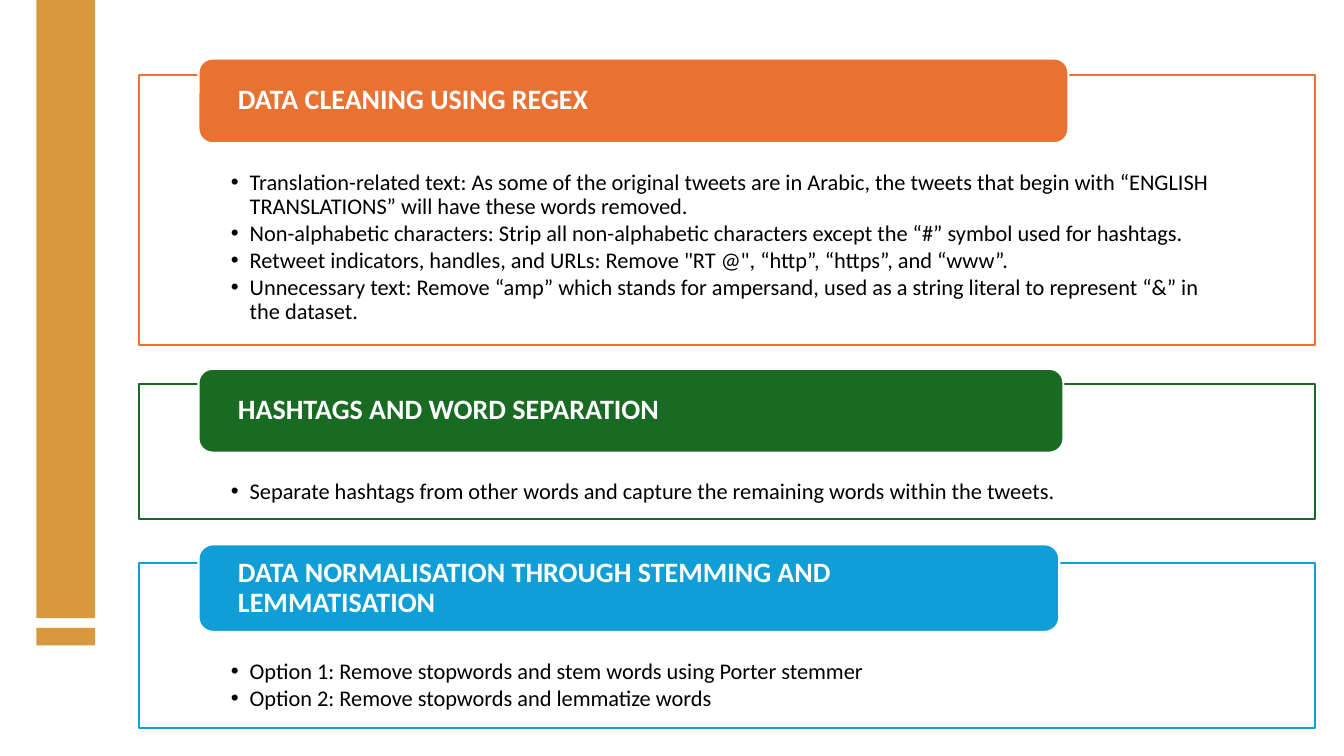
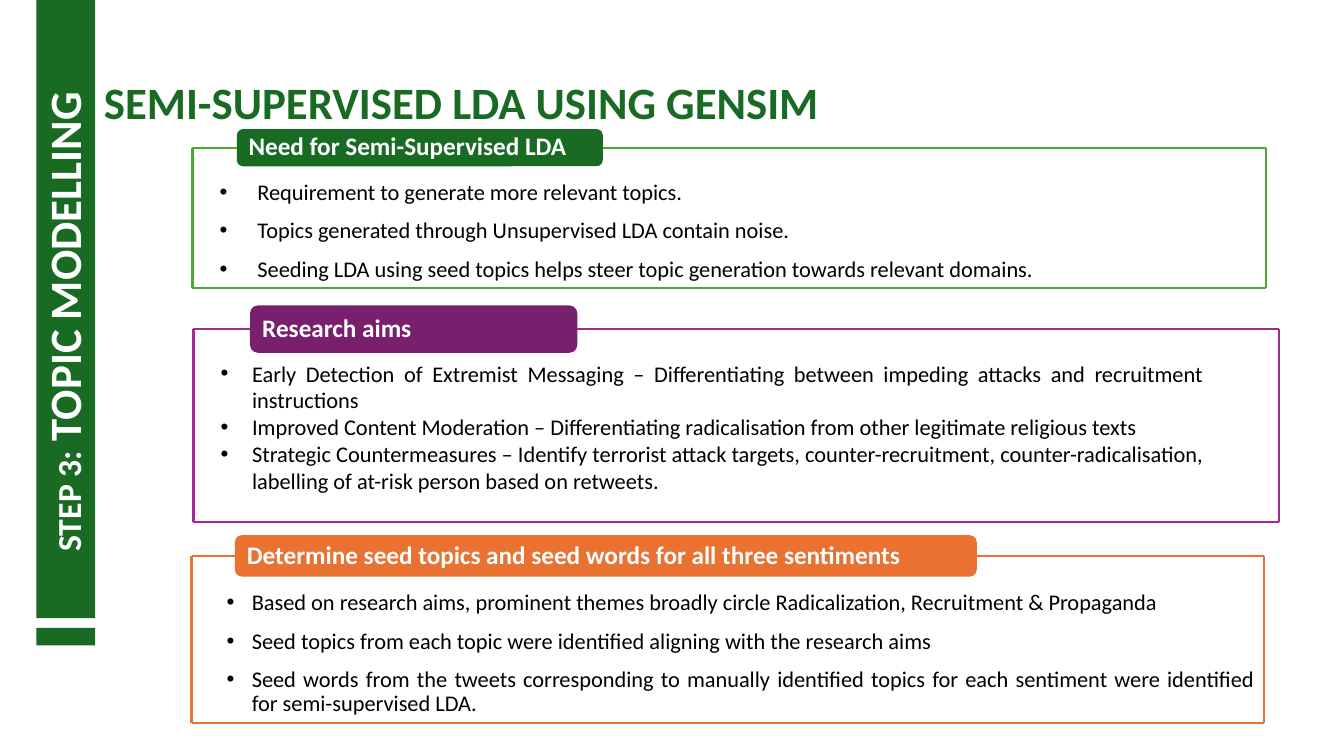
from lxml.etree import SubElement
from pptx import Presentation
from pptx.dml.color import RGBColor
from pptx.enum.shapes import MSO_CONNECTOR, MSO_SHAPE
from pptx.enum.text import MSO_ANCHOR, MSO_AUTO_SIZE, PP_ALIGN
from pptx.oxml.ns import qn
from pptx.util import Pt

WHITE = RGBColor(0xFF, 0xFF, 0xFF)
BLACK = RGBColor(0x00, 0x00, 0x00)
ORANGE = RGBColor(0xE9, 0x71, 0x32)
DARK_GREEN = RGBColor(0x19, 0x6B, 0x24)
GREEN = RGBColor(0x4E, 0xA7, 0x2E)
BLUE = RGBColor(0x0F, 0x9E, 0xD5)
DARK_PURPLE = RGBColor(0x78, 0x20, 0x6E)
PURPLE = RGBColor(0xA0, 0x2B, 0x93)
OCHRE = RGBColor(0xD9, 0x98, 0x3E)

LEFT_SIDE, RIGHT_SIDE = 1, 3
BOLD = {"name": "Calibri", "bold": True}
FONTS = {
    "title": BOLD | {"size": Pt(32)},
    "step": BOLD | {"size": Pt(24)},
    "card heading": BOLD | {"size": Pt(20)},
    "heading": BOLD | {"size": Pt(18)},
    "body": {"name": "Calibri", "bold": False, "size": Pt(16)},
}
TIGHT = {"line_spacing": 0.9, "alignment": PP_ALIGN.LEFT}
SPACED = {"line_spacing": 0.9, "space_before": Pt(10), "alignment": PP_ALIGN.JUSTIFY}
SOLID = {"line_spacing": 1.0, "alignment": PP_ALIGN.JUSTIFY}
CARD_LIST = TIGHT | {"space_after": Pt(2)}


def apply(target, values):
    """Set each attribute in values on target."""
    for key, value in values.items():
        setattr(target, key, value)


def insets(left, top, right, bottom):
    """Return text frame margins given in points."""
    sides = ("left", "top", "right", "bottom")
    return {f"margin_{side}": Pt(gap) for side, gap in zip(sides, (left, top, right, bottom))}


class Deck:
    """Hold the shared style and the slide being built."""

    def __init__(self):
        """Start a widescreen presentation."""
        self.presentation = Presentation()
        apply(self.presentation, {"slide_width": Pt(960), "slide_height": Pt(540)})
        self.slide = None

    def start(self, band_color, title=None):
        """Add a slide with its side band and optional title."""
        layout = self.presentation.slide_layouts[6 if title is None else 5]
        self.slide = self.presentation.slides.add_slide(layout)
        if title is not None:
            heading = self.slide.shapes.title
            apply(heading, {"left": Pt(67), "top": Pt(41), "width": Pt(820), "height": Pt(54.7)})
            self.fill_text(heading.text_frame, [title], "title", band_color, TIGHT,
                           {"vertical_anchor": MSO_ANCHOR.BOTTOM})
        for top, height in ((0, 441.5), (448.5, 12.5)):
            self.box((26, top, 42, height), band_color)

    def fill_text(self, frame, texts, font, color, paragraph_format, frame_format, indent=0):
        """Fill a text frame, with bullets when an indent is given."""
        apply(frame, {"word_wrap": True, "auto_size": MSO_AUTO_SIZE.NONE} | frame_format)
        for number, text in enumerate(texts):
            paragraph = frame.add_paragraph() if number else frame.paragraphs[0]
            apply(paragraph, paragraph_format)
            if not number:
                paragraph.space_before = Pt(0)
            if indent:
                properties = paragraph._p.get_or_add_pPr()
                properties.set("marL", str(Pt(indent)))
                properties.set("indent", str(-Pt(indent)))
                SubElement(properties, qn("a:buFont"), typeface="Arial")
                SubElement(properties, qn("a:buChar"), char="•")
            self.add_words(paragraph, text, font, color)

    def add_words(self, paragraph, text, font, color):
        """Add one formatted run."""
        words = paragraph.add_run()
        words.text = text
        apply(words.font, FONTS[font])
        words.font.color.rgb = color

    def box(self, place, fill, outline=None, kind=MSO_SHAPE.RECTANGLE):
        """Add a filled shape with an optional outline."""
        shape = self.slide.shapes.add_shape(kind, *map(Pt, place))
        shape.shadow.inherit = False
        shape.fill.solid()
        shape.fill.fore_color.rgb = fill
        if outline is None:
            shape.line.fill.background()
        else:
            shape.line.color.rgb = outline
            shape.line.width = Pt(1.5)
        return shape

    def heading(self, place, text, fill, font="heading", outline=None, margin=7.2):
        """Add a rounded heading."""
        shape = self.box(place, fill, outline, MSO_SHAPE.ROUNDED_RECTANGLE)
        self.fill_text(shape.text_frame, [text], font, WHITE, TIGHT,
                       {"vertical_anchor": MSO_ANCHOR.MIDDLE} | insets(margin, 0, margin, 0))
        return shape

    def card(self, top, height, tag_top, tag_width, tag_height, color, title, items):
        """Add an outlined list with a heading over its top edge."""
        panel = self.box((99.4, top, 840.2, height), WHITE, color)
        self.fill_text(panel.text_frame, items, "body", BLACK, CARD_LIST,
                       {"vertical_anchor": MSO_ANCHOR.TOP} | insets(65.5, 69, 65.5, 8.6), 13.5)
        self.heading((141.8, tag_top, tag_width, tag_height), title, color,
                     "card heading", WHITE, 25.2)

    def line(self, start, end, color):
        """Add a straight frame line."""
        edge = self.slide.shapes.add_connector(
            MSO_CONNECTOR.STRAIGHT, *map(Pt, (*start, *end)))
        edge.line.color.rgb = color
        edge.line.width = Pt(1.5)
        SubElement(edge._element.spPr, qn("a:effectLst"))
        return edge

    def section(self, tag, title, fill, edges, color, body, items, spacing, indent):
        """Add a heading joined to a frame of lines around a list."""
        left, right, bottom = edges
        middle = tag[1] + tag[3] / 2
        heading = self.heading(tag, title, fill)
        corners = [(left, middle), (left, bottom), (right, bottom), (right, middle)]
        for start, end in zip(corners, corners[1:]):
            self.line(start, end, color)
        for corner, x, side in ((corners[0], tag[0], LEFT_SIDE),
                                (corners[3], tag[0] + tag[2], RIGHT_SIDE)):
            self.line(corner, (x, middle), color).end_connect(heading, side)
        points = self.slide.shapes.add_textbox(*map(Pt, body))
        self.fill_text(points.text_frame, items, "body", BLACK, spacing, {}, indent)

    def step(self, number, name):
        """Add the step label that reads up the side band."""
        label = self.slide.shapes.add_textbox(Pt(-171.4), Pt(161.3), Pt(428.4), Pt(51.1))
        label.rotation = 270
        self.fill_text(label.text_frame, [number], "step", WHITE, TIGHT,
                       {"vertical_anchor": MSO_ANCHOR.BOTTOM})
        self.add_words(label.text_frame.paragraphs[0], name, "title", WHITE)


def main():
    """Build and save both slides."""
    deck = Deck()
    deck.start(OCHRE)
    deck.card(53.3, 193, 41.8, 621.4, 60.5, ORANGE, "DATA CLEANING USING REGEX", [
        "Translation-related text: As some of the original tweets are in Arabic, the tweets "
        "that begin with “ENGLISH TRANSLATIONS” will have these words removed.",
        "Non-alphabetic characters: Strip all non-alphabetic characters except the “#” symbol "
        "used for hashtags.",
        "Retweet indicators, handles, and URLs: Remove \"RT @\", “http”, “https”, and “www”.",
        "Unnecessary text: Remove “amp” which stands for ampersand, used as a string literal "
        "to represent “&” in the dataset.",
    ])
    deck.card(274.3, 96.5, 263.5, 617.8, 59.8, DARK_GREEN, "HASHTAGS AND WORD SEPARATION", [
        "Separate hashtags from other words and capture the remaining words within the tweets.",
    ])
    deck.card(402.5, 117.4, 388.8, 614.9, 62.6, BLUE,
              "DATA NORMALISATION THROUGH STEMMING AND LEMMATISATION", [
                  "Option 1: Remove stopwords and stem words using Porter stemmer",
                  "Option 2: Remove stopwords and lemmatize words",
              ])

    deck.start(DARK_GREEN, "SEMI-SUPERVISED LDA USING GENSIM")
    deck.section((169.2, 92.2, 261.4, 26.6), "Need for Semi-Supervised LDA", DARK_GREEN,
                 (137.5, 904.3, 206), GREEN, (149.8, 126, 729.4, 77), [
                     "Requirement to generate more relevant topics.",
                     "Topics generated through Unsupervised LDA contain noise.",
                     "Seeding LDA using seed topics helps steer topic generation towards "
                     "relevant domains.",
                 ], SPACED, 27)
    deck.section((178.6, 218.2, 233.8, 33.8), "Research aims", DARK_PURPLE,
                 (138.2, 913.7, 373), PURPLE, (150.5, 253.4, 716.4, 104.4), [
                     "Early Detection of Extremist Messaging – Differentiating between impeding "
                     "attacks and recruitment instructions",
                     "Improved Content Moderation – Differentiating radicalisation from other "
                     "legitimate religious texts",
                     "Strategic Countermeasures – Identify terrorist attack targets, "
                     "counter-recruitment, counter-radicalisation, labelling of at-risk person "
                     "based on retweets.",
                 ], SOLID, 22.5)
    deck.section((167.8, 382.3, 529.9, 29.5),
                 "Determine seed topics and seed words for all three sentiments", ORANGE,
                 (136.8, 902.7, 516.2), ORANGE, (154.8, 419, 748.8, 97.2), [
                     "Based on research aims, prominent themes broadly circle Radicalization, "
                     "Recruitment & Propaganda",
                     "Seed topics from each topic were identified aligning with the research aims",
                     "Seed words from the tweets corresponding to manually identified topics for "
                     "each sentiment were identified for semi-supervised LDA.",
                 ], SPACED, 18)
    deck.step("STEP 3:", " TOPIC MODELLING")
    deck.presentation.save("out.pptx")


if __name__ == "__main__":
    main()
